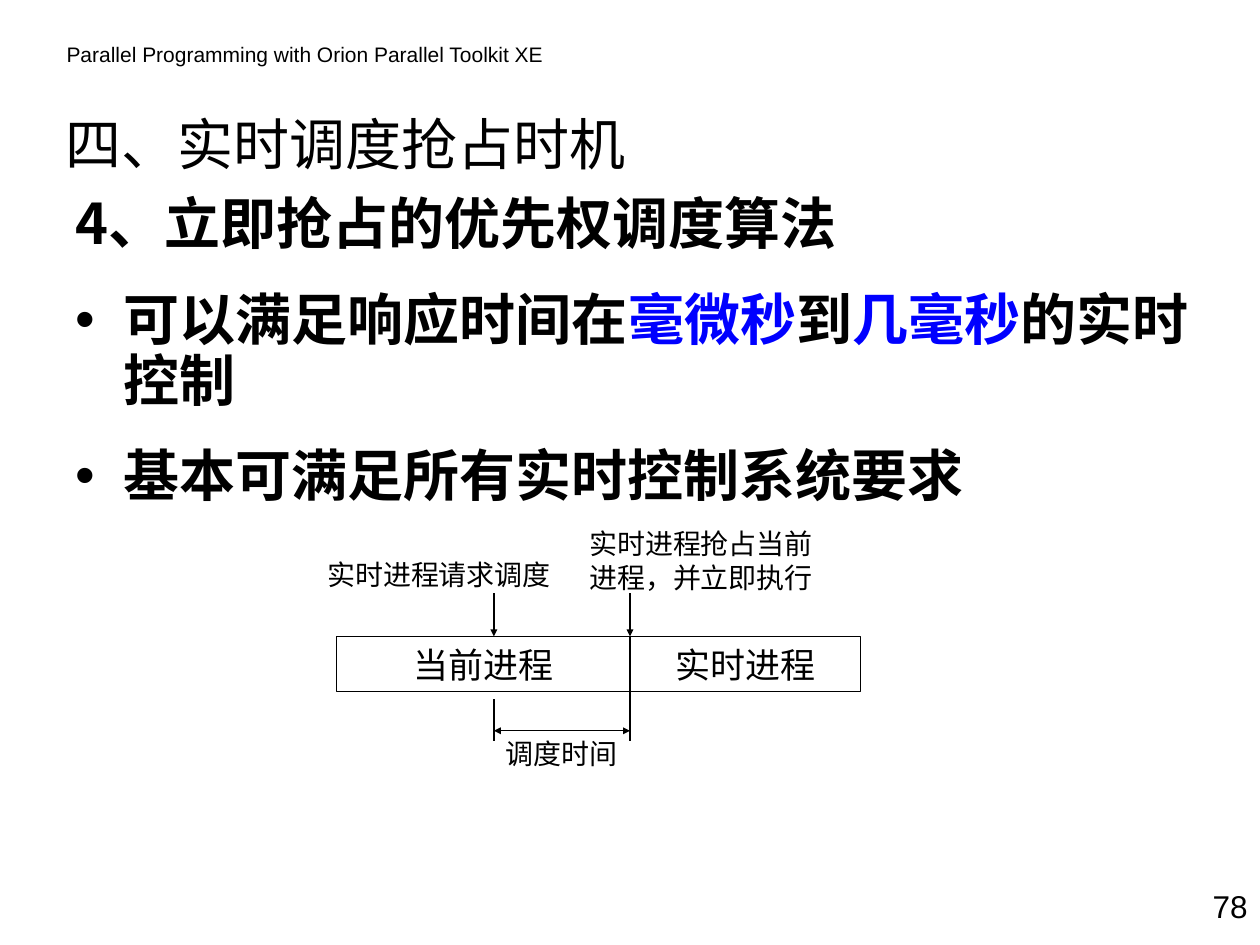
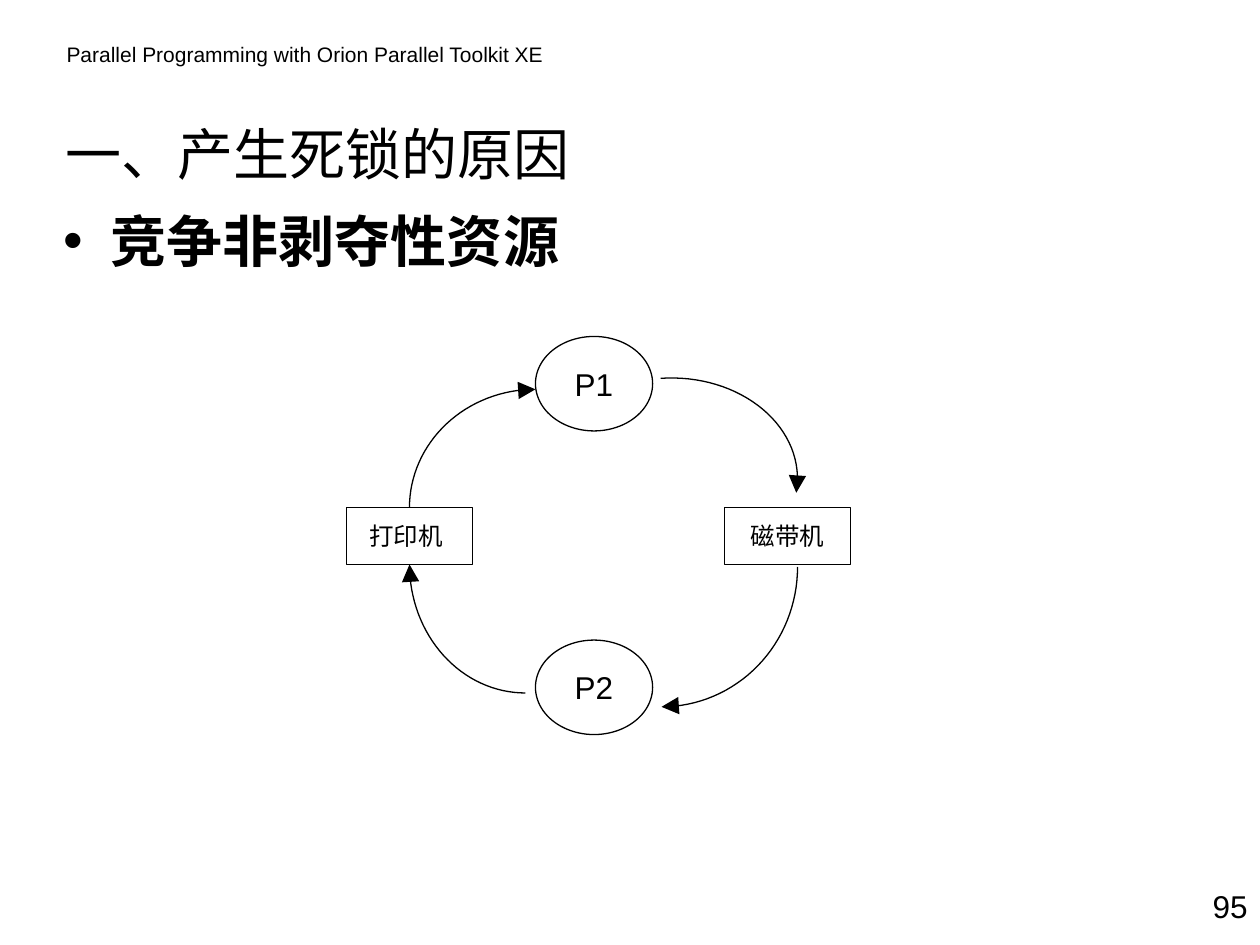
from dataclasses import dataclass
from math import cos, radians, sin

from lxml.etree import SubElement
from pptx import Presentation
from pptx.dml.color import RGBColor
from pptx.enum.shapes import MSO_CONNECTOR, MSO_SHAPE
from pptx.enum.text import MSO_ANCHOR as ANCHOR, MSO_AUTO_SIZE, PP_ALIGN as ALIGN
from pptx.oxml.ns import qn
from pptx.util import Pt

PX = 9144  # EMU in one px, 100 px to the inch


@dataclass(frozen=True)
class Theme:
    ink: str = "000000"
    accent: str = "0000FF"
    latin: str = "Arial"
    cjk: str = "Noto Sans CJK SC"
    heading: int = 32
    bar: int = 20
    node: int = 18
    label: int = 16
    device: int = 14
    header: int = 12
    line: float = 0.75
    indent: int = 38


T = Theme()

# ---- Content: a paragraph is a list of (text, colour) runs ----
HEADER = "Parallel Programming with Orion Parallel Toolkit XE"

PREEMPTION = dict(
    title="四、实时调度抢占时机", title_top=76, page="78",
    body_box=(50, 151, 929, 275), body_inset=10, line=0.9, gap=20,
    body=[
        (False, [("4、立即抢占的优先权调度算法", T.ink)]),
        (True, [("可以满足响应时间在", T.ink), ("毫微秒", T.accent), ("到", T.ink),
                ("几毫秒", T.accent), ("的实时控制", T.ink)]),
        (True, [("基本可满足所有实时控制系统要求", T.ink)]),
    ],
)
DEADLOCK = dict(
    title="一、产生死锁的原因", title_top=84, page="95",
    body_box=(50, 159, 950, 392), body_inset=0, line=1.0, gap=0,
    body=[(True, [("竞争非剥夺性资源", T.ink)])],
)

# Timeline: moments on the x axis, then bars and labels
START, REQUEST, SWITCH, END = 267, 392, 500, 683
BAR_TOP, BAR_HEIGHT = 505, 44
BARS = [("当前进程", START, SWITCH), ("实时进程", SWITCH, END)]
LABELS = [
    ("实时进程请求调度", (250, 438, 200, 37), ALIGN.LEFT),
    ("实时进程抢占当前进程，并立即执行", (458, 413, 217, 64), ALIGN.LEFT),
    ("调度时间", (383, 580, 125, 37), ALIGN.CENTER),
]
TIMELINE_LINES = [  # from, to, arrow ends
    ((REQUEST, 471), (REQUEST, BAR_TOP), ("tail",)),
    ((SWITCH, 471), (SWITCH, BAR_TOP), ("tail",)),
    ((REQUEST, 555), (REQUEST, 588), ()),
    ((SWITCH, BAR_TOP + BAR_HEIGHT), (SWITCH, 588), ()),
    ((REQUEST, 580), (SWITCH, 580), ("head", "tail")),
]

# Resource cycle: processes, devices and clockwise arcs
PROCESSES = [("P1", 267), ("P2", 508)]
DEVICES = [("打印机", 275, ALIGN.LEFT, 18), ("磁带机", 575, ALIGN.CENTER, 5)]
ARC_STEPS = 32
ARCS = [  # centre, radii, start and end angle in degrees
    ((417, 448), (92, 102), 90, 180),
    ((525, 450), (108, 111), 0, 90),
    ((533, 380), (100, 80), -95, 8),
    ((425, 403), (100, 94), 180, 270),
]


# ---- Helpers ----
def emu(*lengths):
    return [round(v * PX) for v in lengths]


def place(s, box):
    s.left, s.top, s.width, s.height = emu(*box)


def write(tf, paragraphs, *, size, font=T.latin, bold=False, align=ALIGN.LEFT,
          anchor=ANCHOR.TOP, inset=10, line=1.0, gap=0):
    """Fill a frame with (bulleted, runs) paragraphs, or with one plain string."""
    if isinstance(paragraphs, str):
        paragraphs = [(None, [(paragraphs, T.ink)])]
    tf.word_wrap = True
    tf.auto_size = MSO_AUTO_SIZE.NONE
    tf.vertical_anchor = anchor
    tf.margin_left, tf.margin_right, tf.margin_top, tf.margin_bottom = emu(inset, inset, 5, 5)
    for i, (bulleted, runs) in enumerate(paragraphs):
        p = tf.paragraphs[0] if i == 0 else tf.add_paragraph()
        p.alignment = align
        p.space_before = Pt(gap if i else 0)
        p.line_spacing = line
        if bulleted is not None:
            set_bullet(p, bulleted)
        for text, color in runs:
            r = p.add_run()
            r.text = text
            r.font.size = Pt(size)
            r.font.bold = bold
            r.font.color.rgb = RGBColor.from_string(color)
            r.font.name = font
            SubElement(r.font._element, qn("a:ea"), typeface=T.cjk)


def set_bullet(p, shown):
    pPr = p._p.get_or_add_pPr()
    indent, = emu(T.indent)
    pPr.set("marL", str(indent))
    pPr.set("indent", str(-indent))
    if shown:
        color = SubElement(pPr, qn("a:buClr"))
        SubElement(color, qn("a:srgbClr"), val=T.ink)
        SubElement(pPr, qn("a:buFont"), typeface=T.latin)
        SubElement(pPr, qn("a:buChar"), char="•")
    else:
        SubElement(pPr, qn("a:buNone"))


def add_text(slide, box, text, **fmt):
    s = slide.shapes.add_textbox(*emu(*box))
    write(s.text_frame, text, **fmt)
    return s


def stroke(s, ends=(), arrow="med"):
    s.line.color.rgb = RGBColor.from_string(T.ink)
    s.line.width = Pt(T.line)
    ln = s.line._get_or_add_ln()
    for end in ends:
        SubElement(ln, qn(f"a:{end}End"), type="triangle", w=arrow, len=arrow)


def outline(s, ends=(), arrow="med"):
    s.shadow.inherit = False
    s.fill.background()
    stroke(s, ends, arrow)


def add_node(slide, kind, box, text, size, align=ALIGN.CENTER, inset=5):
    s = slide.shapes.add_shape(kind, *emu(*box))
    outline(s)
    write(s.text_frame, text, size=size, align=align, anchor=ANCHOR.MIDDLE, inset=inset)


def add_line(slide, start, end, ends):
    s = slide.shapes.add_connector(MSO_CONNECTOR.STRAIGHT, *emu(*start, *end))
    stroke(s, ends, "sm")
    SubElement(s._element.spPr, qn("a:effectLst"))


def add_arc(slide, center, radii, start, end):
    (x, y), (rx, ry) = center, radii
    angles = [radians(start + (end - start) * i / ARC_STEPS) for i in range(ARC_STEPS + 1)]
    first, *rest = [emu(x + rx * cos(a), y + ry * sin(a)) for a in angles]
    builder = slide.shapes.build_freeform(*first)
    builder.add_line_segments(rest, close=False)
    outline(builder.convert_to_shape(), ("tail",), "lg")


def add_page(prs, c):
    slide = prs.slides.add_slide(prs.slide_layouts[1])
    title, body = slide.placeholders
    place(title, (42, c["title_top"], 900, 75))
    write(title.text_frame, c["title"], size=T.heading, font=T.cjk, anchor=ANCHOR.MIDDLE)
    place(body, c["body_box"])
    write(body.text_frame, c["body"], size=T.heading, font=T.cjk, bold=True,
          inset=c["body_inset"], line=c["line"], gap=c["gap"])
    add_text(slide, (908, 699, 92, 40), c["page"], size=T.node, align=ALIGN.RIGHT)
    return slide


def add_master_header(prs, slide):
    """Build the running header once and hand it to the slide master."""
    s = add_text(slide, (43, 28, 410, 30), HEADER, size=T.header)
    s._element.nvSpPr.cNvPr.set("id", "20")
    prs.slide_master.shapes.element.append(s._element)


# ---- Diagrams ----
def draw_timeline(slide):
    for text, left, right in BARS:
        add_node(slide, MSO_SHAPE.RECTANGLE,
                 (left, BAR_TOP, right - left, BAR_HEIGHT), text, T.bar)
    for start, end, ends in TIMELINE_LINES:
        add_line(slide, start, end, ends)
    for text, box, align in LABELS:
        add_text(slide, box, text, size=T.label, align=align)


def draw_cycle(slide):
    for text, top in PROCESSES:
        add_node(slide, MSO_SHAPE.OVAL, (425, top, 93, 75), text, T.node)
    for text, left, align, inset in DEVICES:
        add_node(slide, MSO_SHAPE.RECTANGLE, (left, 403, 100, 45), text, T.device,
                 align, inset)
    for arc in ARCS:
        add_arc(slide, *arc)


def main():
    prs = Presentation()
    prs.slide_width, prs.slide_height = emu(1000, 750)
    preemption = add_page(prs, PREEMPTION)
    add_master_header(prs, preemption)
    draw_timeline(preemption)
    draw_cycle(add_page(prs, DEADLOCK))
    prs.save("out.pptx")


if __name__ == "__main__":
    main()
